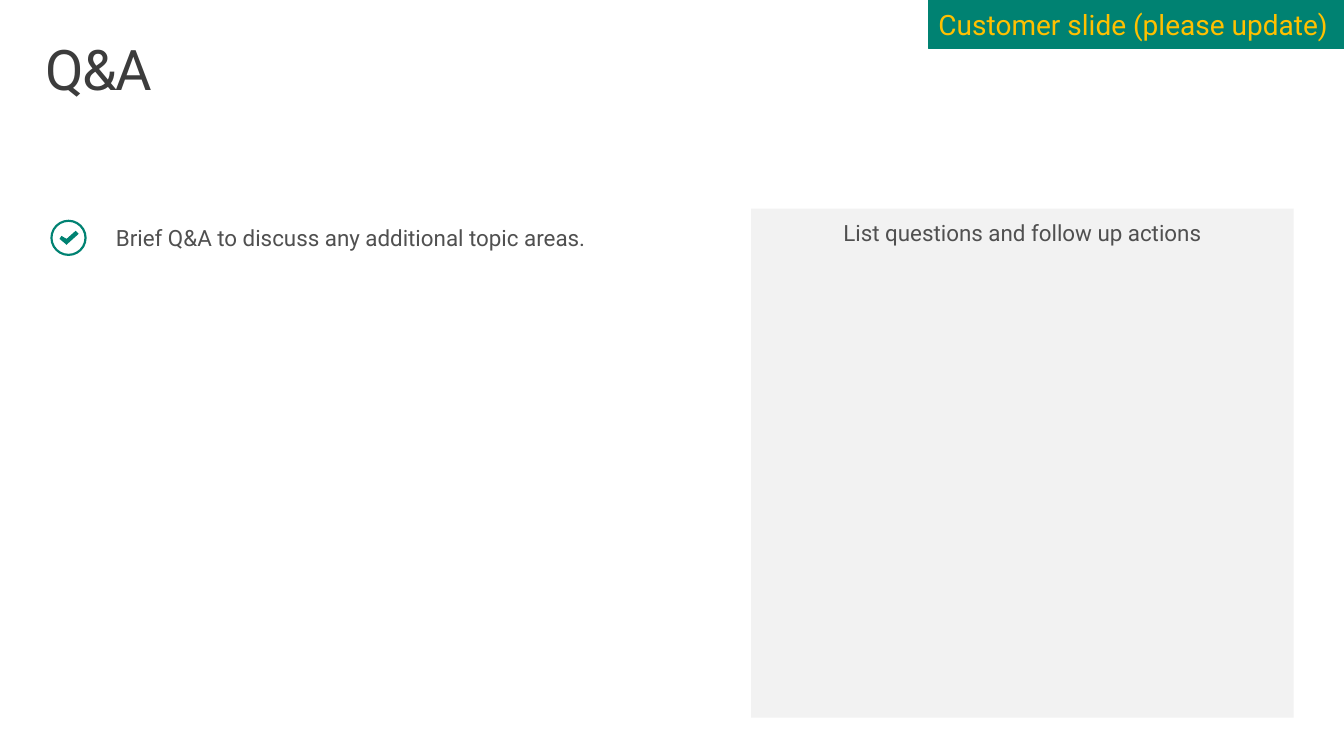
from pptx import Presentation
from pptx.dml.color import RGBColor
from pptx.enum.shapes import MSO_SHAPE as Shape
from pptx.enum.text import MSO_ANCHOR as Anchor, MSO_AUTO_SIZE as AutoSize, PP_ALIGN as Align
from pptx.util import Emu, Pt

EMU_PER_PX = 9144  # 100 px to the inch
FONT = "Roboto"
COLORS = {
    "title": "3C3C3C",
    "body": "505050",
    "teal": "008272",
    "panel": "F2F2F2",
    "amber": "FFC000",
}
CHECK_MARK = [(75, 229), (66, 237), (61, 234), (59, 237), (65, 242),
              (66, 243), (68, 241), (78, 232)]


def px(value):
    return Emu(value * EMU_PER_PX)


def color(name):
    return RGBColor.from_string(COLORS[name])


class SlideBuilder:
    def __init__(self, presentation):
        self.slide = presentation.slides.add_slide(presentation.slide_layouts[5])

    def set_text(self, shape, text, size, color_name, insets=(10, 5, 10, 5),
                 anchor=Anchor.TOP, align=Align.LEFT):
        """Fill a shape's text frame; insets are left, top, right, bottom."""
        frame = shape.text_frame
        frame.word_wrap = True
        frame.auto_size = AutoSize.NONE
        frame.vertical_anchor = anchor
        (frame.margin_left, frame.margin_top,
         frame.margin_right, frame.margin_bottom) = map(px, insets)
        paragraph = frame.paragraphs[0]
        paragraph.alignment = align
        run = paragraph.add_run()
        run.text = text
        run.font.name = FONT
        run.font.size = Pt(size)
        run.font.color.rgb = color(color_name)
        return paragraph, run

    def title(self, text, left, top, width, height):
        shape = self.slide.shapes.title
        shape.left, shape.top, shape.width, shape.height = map(px, (left, top, width, height))
        paragraph, run = self.set_text(shape, text, 40, "title", (16, 10, 16, 10))
        paragraph.line_spacing = 0.9
        run._r.get_or_add_rPr().set("spc", "-100")

    def text(self, text, left, top, width, height, **style):
        box = self.slide.shapes.add_textbox(*map(px, (left, top, width, height)))
        self.set_text(box, text, 16, "body", **style)

    def paint(self, shape, fill):
        shape.shadow.inherit = False
        shape.fill.solid()
        shape.fill.fore_color.rgb = color(fill)
        shape.line.fill.background()

    def rectangle(self, left, top, width, height, fill):
        shape = self.slide.shapes.add_shape(
            Shape.RECTANGLE, *map(px, (left, top, width, height)))
        self.paint(shape, fill)
        return shape

    def check_icon(self, left, top, size):
        group = self.slide.shapes.add_group_shape()
        ring = group.shapes.add_shape(Shape.DONUT, *map(px, (left, top, size, size)))
        ring.adjustments[0] = 0.06
        outline = group.shapes.build_freeform(*CHECK_MARK[0], scale=EMU_PER_PX)
        outline.add_line_segments(CHECK_MARK[1:], close=True)
        for shape in (ring, outline.convert_to_shape()):
            self.paint(shape, "teal")


def main():
    presentation = Presentation()
    presentation.slide_width, presentation.slide_height = px(1333), px(750)
    builder = SlideBuilder(presentation)

    builder.title("Q&A", 29, 32, 1275, 98)
    builder.text("Brief Q&A to discuss any additional topic areas.", 55, 207, 675, 57,
                 insets=(60, 5, 10, 5), anchor=Anchor.MIDDLE)
    builder.check_icon(50, 218, 36)

    panel = builder.rectangle(745, 207, 538, 505, "panel")
    builder.set_text(panel, "List questions and follow up actions", 16, "body",
                     insets=(10, 10, 10, 5), align=Align.CENTER)

    banner = builder.rectangle(921, 0, 413, 48, "teal")
    banner.line.color.rgb = color("teal")
    banner.line.width = Pt(0.25)
    builder.set_text(banner, "Customer slide (please update)", 20, "amber",
                     anchor=Anchor.MIDDLE)

    presentation.save("out.pptx")


if __name__ == "__main__":
    main()
